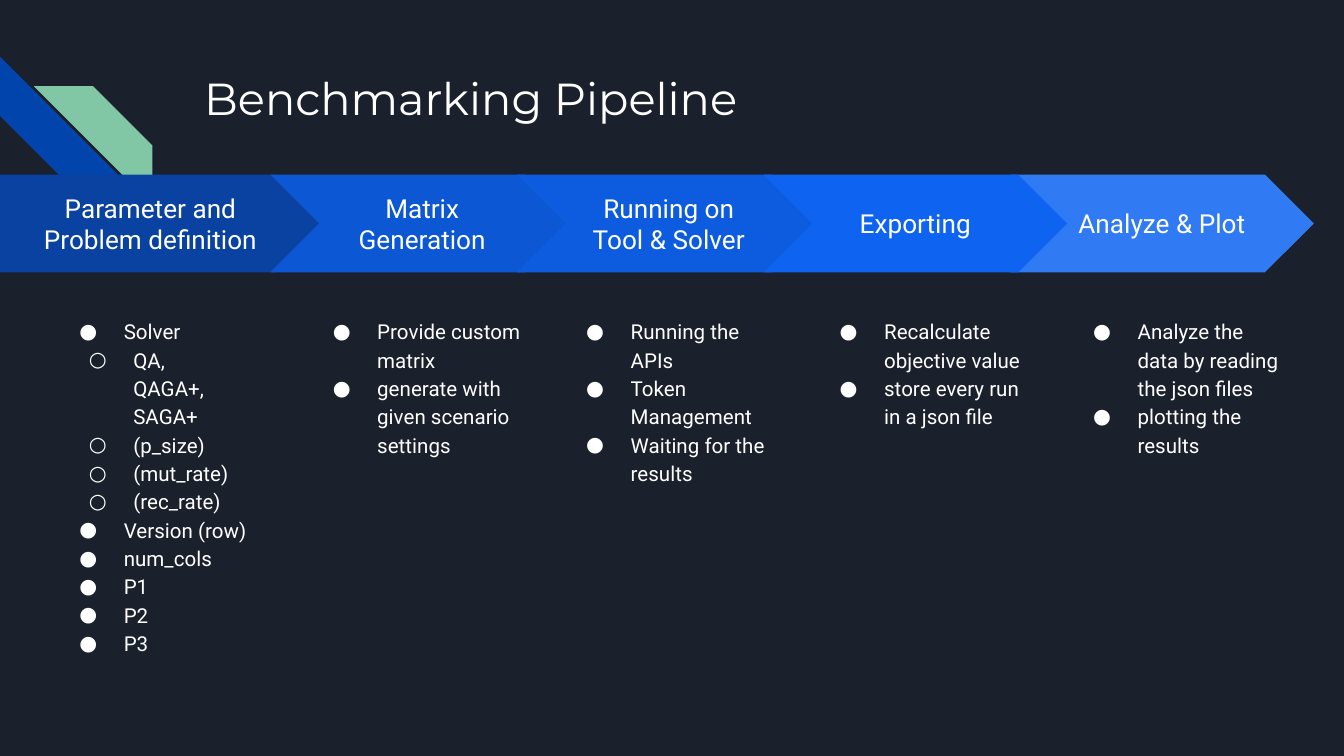
import copy
import dataclasses

import lxml.etree
import pptx
import pptx.dml.color
import pptx.enum.shapes
import pptx.enum.text
import pptx.oxml.ns
import pptx.util

Cm = pptx.util.Cm
Kind = pptx.enum.shapes.MSO_SHAPE
Align = pptx.enum.text.PP_ALIGN
Anchor = pptx.enum.text.MSO_ANCHOR
qn = pptx.oxml.ns.qn

COLORS = {
    "back": "1B212C",
    "text": "FFFFFF",
    "stripe": "0145AC",
    "accent": "82C7A5",
    "define": "0942A1",
    "matrix": "0C57D3",
    "run": "0D5CDF",
    "export": "0E63F0",
    "plot": "307AF3",
}
INSET = Cm(0.25)
ARROW_TOP, ARROW_TALL, ARROW_WIDE = 3.3, 1.85, 5.74
ARROW_LEFT, ARROW_STEP = 0.45, 4.66
LIST_TOP, LIST_LEFT, LIST_STEP = 5.72, 0.82, 4.79
HANG = 0.84
BULLETS = (("●", 1.27), ("○", 1.45))  # mark and indent of each level


@dataclasses.dataclass
class Item:
    text: str
    level: int = 0


@dataclasses.dataclass
class Stage:
    title: str
    color: str
    items: list[Item]


STAGES = [
    Stage("Parameter and Problem definition", "define", [
        Item("Solver"),
        Item("QA,\nQAGA+,\nSAGA+", 1),
        Item("(p_size)", 1),
        Item("(mut_rate)", 1),
        Item("(rec_rate)", 1),
        Item("Version (row)"),
        Item("num_cols"),
        Item("P1"),
        Item("P2"),
        Item("P3"),
    ]),
    Stage("Matrix Generation", "matrix", [
        Item("Provide custom matrix"),
        Item("generate with given scenario settings"),
    ]),
    Stage("Running on Tool & Solver", "run", [
        Item("Running the APIs"),
        Item("Token Management"),
        Item("Waiting for the results"),
    ]),
    Stage("Exporting", "export", [
        Item("Recalculate objective value"),
        Item("store every run in a json file"),
    ]),
    Stage("Analyze & Plot", "plot", [
        Item("Analyze the data by reading the json files"),
        Item("plotting the results"),
    ]),
]
DRAW_ORDER = (0, 1, 2, 4, 3)  # the export arrow lies on top of the last one


def rgb(name: str) -> pptx.dml.color.RGBColor:
    return pptx.dml.color.RGBColor.from_string(COLORS[name])


def add_shape(slide, kind, left: float, top: float, wide: float, tall: float, color: str):
    shape = slide.shapes.add_shape(kind, Cm(left), Cm(top), Cm(wide), Cm(tall))
    shape.shadow.inherit = False
    shape.fill.solid()
    shape.fill.fore_color.rgb = rgb(color)
    shape.line.fill.background()
    shape.adjustments[0] = 0.5
    return shape


def set_frame(frame) -> None:
    frame.word_wrap = True
    frame.margin_left = frame.margin_right = INSET
    frame.margin_top = frame.margin_bottom = INSET


def add_box(slide, left: float, top: float, wide: float, tall: float):
    box = slide.shapes.add_textbox(Cm(left), Cm(top), Cm(wide), Cm(tall))
    set_frame(box.text_frame)
    return box.text_frame


def style(para, size: int, face: str = "Roboto") -> None:
    """Format all runs, and the line breaks to match."""
    for run in para.runs:
        run.font.size = pptx.util.Pt(size)
        run.font.name = face
        run.font.color.rgb = rgb("text")
    for gap in para._p.findall(qn("a:br")):
        gap.append(copy.deepcopy(para.runs[0].font._rPr))


def set_bullet(para, level: int) -> None:
    mark, indent = BULLETS[level]
    para.level = level
    para.line_spacing = 1.15
    props = para._p.get_or_add_pPr()
    props.set("marL", str(Cm(indent)))
    props.set("indent", str(-Cm(HANG)))
    color = lxml.etree.SubElement(props, qn("a:buClr"))
    lxml.etree.SubElement(color, qn("a:srgbClr")).set("val", COLORS["text"])
    lxml.etree.SubElement(props, qn("a:buFont")).set("typeface", "Roboto")
    lxml.etree.SubElement(props, qn("a:buChar")).set("char", mark)


def add_arrow(slide, index: int, stage: Stage) -> None:
    if index == 0:
        kind, left, wide = Kind.PENTAGON, 0, 6.15
    else:
        kind, left, wide = Kind.CHEVRON, ARROW_LEFT + index * ARROW_STEP, ARROW_WIDE
    arrow = add_shape(slide, kind, left, ARROW_TOP, wide, ARROW_TALL, stage.color)
    frame = arrow.text_frame
    set_frame(frame)
    frame.vertical_anchor = Anchor.MIDDLE
    frame.text = stage.title
    frame.paragraphs[0].alignment = Align.CENTER
    style(frame.paragraphs[0], 14)


def add_list(slide, index: int, stage: Stage) -> None:
    wide, tall = (5.03, 8.33) if index == 0 else (4.52, 6.53)
    frame = add_box(slide, LIST_LEFT + index * LIST_STEP, LIST_TOP, wide, tall)
    for place, item in enumerate(stage.items):
        para = frame.add_paragraph() if place else frame.paragraphs[0]
        para.text = item.text
        set_bullet(para, item.level)
        style(para, 11)


def add_stripes(slide) -> None:
    blue = add_shape(slide, Kind.DIAGONAL_STRIPE, 0, 1.07, 2.24, 2.24, "stripe")
    blue.rotation = 270
    green = add_shape(slide, Kind.DIAGONAL_STRIPE, 0.64, 1.63, 2.24, 2.24, "accent")
    green._element.spPr.find(qn("a:xfrm")).set("flipH", "1")


def main() -> None:
    deck = pptx.Presentation()
    deck.slide_width, deck.slide_height = Cm(25.4), Cm(14.29)
    slide = deck.slides.add_slide(deck.slide_layouts[6])
    slide.background.fill.solid()
    slide.background.fill.fore_color.rgb = rgb("back")

    add_stripes(slide)
    title = add_box(slide, 3.61, 1.09, 19.56, 2.54)
    title.text = "Benchmarking Pipeline"
    style(title.paragraphs[0], 24, "Montserrat")
    for index in DRAW_ORDER:
        add_arrow(slide, index, STAGES[index])
        add_list(slide, index, STAGES[index])
    deck.save("out.pptx")


if __name__ == "__main__":
    main()
